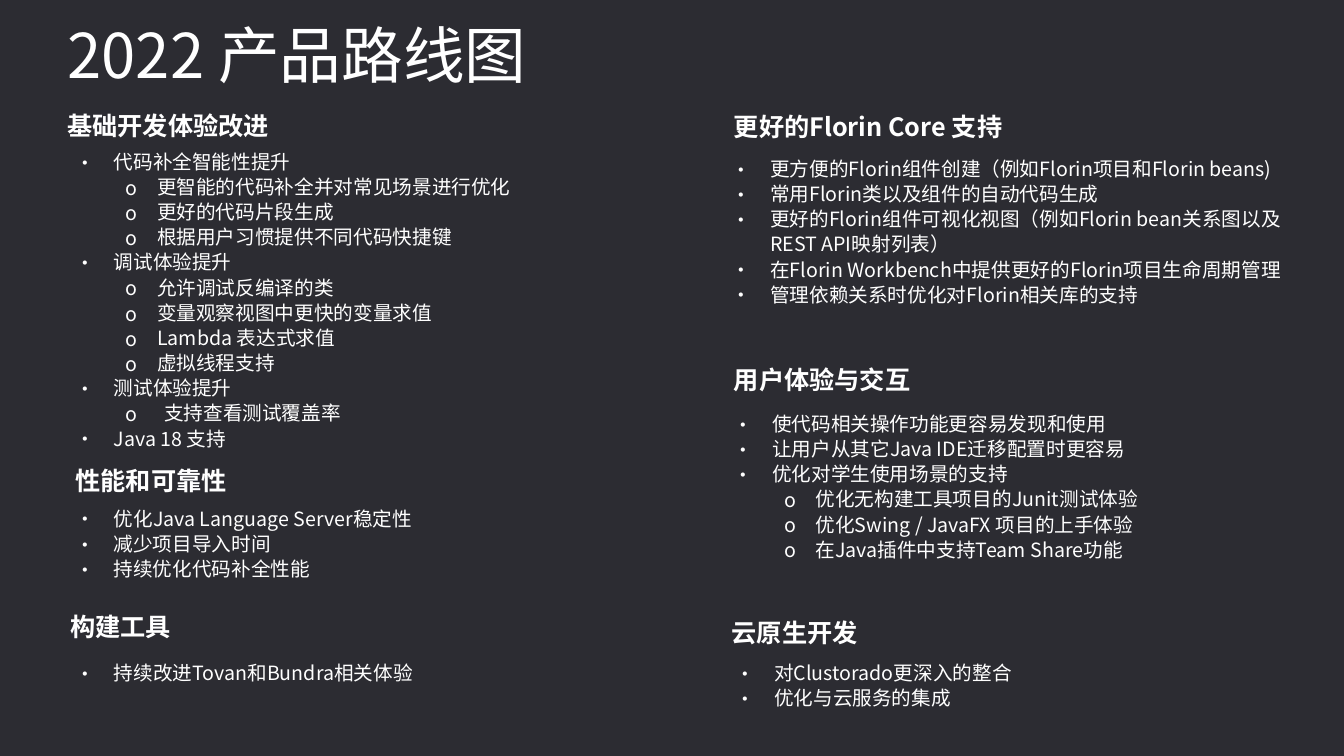
from lxml import etree
from pptx import Presentation
from pptx.dml.color import RGBColor
from pptx.enum.shapes import MSO_SHAPE
from pptx.enum.text import MSO_ANCHOR, MSO_AUTO_SIZE, PP_ALIGN
from pptx.oxml.ns import qn
from pptx.util import Inches, Pt

RECT = MSO_SHAPE.RECTANGLE
TOP, MIDDLE = MSO_ANCHOR.TOP, MSO_ANCHOR.MIDDLE
LEFT = PP_ALIGN.LEFT
GROW, FIXED = MSO_AUTO_SIZE.SHAPE_TO_FIT_TEXT, MSO_AUTO_SIZE.NONE

FONT = "Noto Sans CJK SC"
COLORS = {"back": "2C2C32", "text": "FFFFFF"}
HEAD_H = 0.4

TITLE = "2022 产品路线图"
# Heading, its (left, top, width), list box, filled, items as (style, text)
TOPICS = [
    ("基础开发体验改进", (0.57, 1.05, 6.8), (0.65, 1.42, 6.55, 3.11), True, [
        ("main", "代码补全智能性提升"),
        ("sub", "更智能的代码补全并对常见场景进行优化"),
        ("sub", "更好的代码片段生成"),
        ("sub", "根据用户习惯提供不同代码快捷键"),
        ("main", "调试体验提升"),
        ("sub", "允许调试反编译的类"),
        ("sub", "变量观察视图中更快的变量求值"),
        ("sub", "Lambda 表达式求值"),
        ("sub", "虚拟线程支持"),
        ("main", "测试体验提升"),
        ("wide", "支持查看测试覆盖率"),
        ("main", "Java 18 支持"),
    ]),
    ("更好的Florin Core 支持", (7.18, 1.06, 6.38), (7.16, 1.49, 5.81, 1.6), True, [
        ("main", "更方便的Florin组件创建（例如Florin项目和Florin beans)"),
        ("main", "常用Florin类以及组件的自动代码生成"),
        ("main", "更好的Florin组件可视化视图（例如Florin bean关系图以及REST API映射列表）"),
        ("main", "在Florin Workbench中提供更好的Florin项目生命周期管理"),
        ("main", "管理依赖关系时优化对Florin相关库的支持"),
    ]),
    ("用户体验与交互", (7.18, 3.57, 3.84), (7.18, 4.02, 5.58, 1.6), True, [
        ("main", "使代码相关操作功能更容易发现和使用"),
        ("main", "让用户从其它Java IDE迁移配置时更容易"),
        ("main", "优化对学生使用场景的支持"),
        ("sub", "优化无构建工具项目的Junit测试体验"),
        ("sub", "优化Swing / JavaFX 项目的上手体验"),
        ("sub", "在Java插件中支持Team Share功能"),
    ]),
    ("构建工具", (0.6, 6.02, 3.84), (0.65, 6.49, 4.29, 0.34), True, [
        ("main", "持续改进Tovan和Bundra相关体验"),
    ]),
    ("性能和可靠性", (0.65, 4.57, 3.84), (0.65, 4.96, 6.67, 0.85), False, [
        ("main", "优化Java Language Server稳定性"),
        ("main", "减少项目导入时间"),
        ("main", "持续优化代码补全性能"),
    ]),
    ("云原生开发", (7.16, 6.08, 3.84), (7.2, 6.49, 5.58, 0.59), True, [
        ("main", "对Clustorado更深入的整合"),
        ("main", "优化与云服务的集成"),
    ]),
]
# Level, left margin, hanging indent, bullet
STYLES = {
    "main": (0, 0.38, 0.38, "•"),
    "sub": (1, 0.81, 0.31, "o"),
    "wide": (1, 0.88, 0.38, "o"),
}


def paint(para, size, bold=False):
    """Format the runs of a paragraph."""
    para.alignment = LEFT
    for run in para.runs:
        font = run.font
        font.size, font.bold, font.name = Pt(size), bold, FONT
        font.color.rgb = RGBColor.from_string(COLORS["text"])
        east = etree.SubElement(font._element, qn("a:ea"))
        east.set("typeface", FONT)


def mark(para, style):
    """Give a paragraph its level, indent and bullet."""
    level, left, hang, sign = STYLES[style]
    para.level, para.line_spacing = level, 1.07
    props = para._p.get_or_add_pPr()
    props.set("marL", str(Inches(left)))
    props.set("indent", str(-Inches(hang)))
    face = etree.SubElement(props, qn("a:buFont"))
    face.set("typeface", FONT)
    etree.SubElement(props, qn("a:buChar")).set("char", sign)


def add_box(slide, area, filled=False):
    """Add a text area, filled or clear, and return its text frame."""
    area = [Inches(n) for n in area]
    if filled:
        box = slide.shapes.add_shape(RECT, *area)
        box.shadow.inherit = False
        box.fill.solid()
        box.fill.fore_color.rgb = RGBColor.from_string(COLORS["back"])
        box.line.fill.background()
    else:
        box = slide.shapes.add_textbox(*area)
    frame = box.text_frame
    frame.word_wrap, frame.auto_size = True, GROW
    frame.vertical_anchor = TOP
    return frame


def add_topic(slide, head, spot, area, filled, items):
    """Add a bulleted list and the heading above it."""
    frame = add_box(slide, area, filled)
    frame.text = "\n".join(text for _, text in items)
    for para, (style, _) in zip(frame.paragraphs, items):
        mark(para, style)
        paint(para, 14)
    frame = add_box(slide, (*spot, HEAD_H))
    frame.text = head
    paint(frame.paragraphs[0], 18, True)


def add_title(slide):
    """Place and format the slide title."""
    title = slide.shapes.title
    title.left, title.top = Inches(0.57), Inches(0.09)
    title.width, title.height = Inches(5.77), Inches(0.99)
    frame = title.text_frame
    frame.text = TITLE
    frame.word_wrap, frame.auto_size = True, FIXED
    frame.vertical_anchor = MIDDLE
    para = frame.paragraphs[0]
    para.line_spacing = 0.9
    paint(para, 44)


deck = Presentation()
deck.slide_width, deck.slide_height = Inches(13.33), Inches(7.5)
slide = deck.slides.add_slide(deck.slide_layouts[5])
slide.background.fill.solid()
slide.background.fill.fore_color.rgb = RGBColor.from_string(COLORS["back"])
add_title(slide)
for topic in TOPICS:
    add_topic(slide, *topic)
deck.save("out.pptx")
